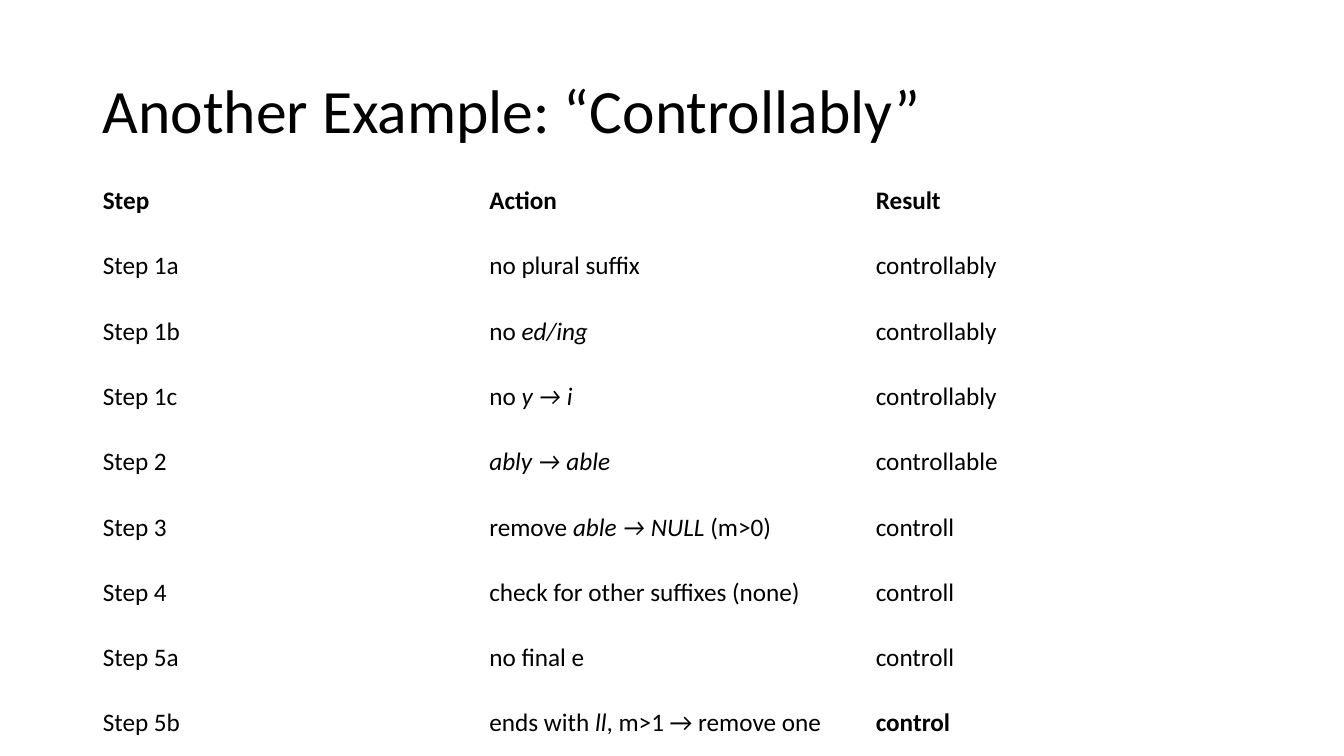
import pptx
import pptx.dml.color
import pptx.enum.text
import pptx.util

Inches = pptx.util.Inches
BLACK = pptx.dml.color.RGBColor(0, 0, 0)
FONT = "Calibri"
STEPS = [
    ("Step", "Action", "Result"),
    ("Step 1a", "no plural suffix", "controllably"),
    ("Step 1b", "no *ed/ing*", "controllably"),
    ("Step 1c", "no *y → i*", "controllably"),
    ("Step 2", "*ably → able*", "controllable"),
    ("Step 3", "remove *able → NULL* (m>0)", "controll"),
    ("Step 4", "check for other suffixes (none)", "controll"),
    ("Step 5a", "no final e", "controll"),
    ("Step 5b", "ends with *ll*, m>1 → remove one", "control"),
]


def write_text(para, text, size=18, bold=False):
    """Write text into a paragraph, with parts between asterisks in italics."""
    for index, part in enumerate(text.split("*")):
        if part:
            span = para.add_run()
            span.text = part
            span.font.name = FONT
            span.font.size = pptx.util.Pt(size)
            span.font.color.rgb = BLACK
            span.font.bold = bold
            span.font.italic = index % 2 == 1


def place_title(page, text, left, top, width, height):
    """Move the title placeholder to its box and fill it."""
    title = page.shapes.title
    title.left, title.top = Inches(left), Inches(top)
    title.width, title.height = Inches(width), Inches(height)
    frame = title.text_frame
    frame.word_wrap = True
    frame.vertical_anchor = pptx.enum.text.MSO_ANCHOR.MIDDLE
    para = frame.paragraphs[0]
    para.alignment = pptx.enum.text.PP_ALIGN.LEFT
    para.line_spacing = 0.9
    write_text(para, text, size=44)


def place_steps(page, rows, left, top, width, height):
    """Draw the table of stemming steps with equal rows and columns."""
    frame = page.shapes.add_table(len(rows), len(rows[0]), Inches(left),
                                  Inches(top), Inches(width), Inches(height))
    table = frame.table
    table.horz_banding = False
    table.first_row = False
    for row_index, row in enumerate(rows):
        for column_index, text in enumerate(row):
            cell = table.cell(row_index, column_index)
            cell.fill.background()
            cell.vertical_anchor = pptx.enum.text.MSO_ANCHOR.MIDDLE
            is_bold = row_index == 0 or text == "control"
            write_text(cell.text_frame.paragraphs[0], text, bold=is_bold)


def main():
    """Build the slide and save the deck."""
    deck = pptx.Presentation()
    deck.slide_width, deck.slide_height = Inches(13.33), Inches(7.5)
    page = deck.slides.add_slide(deck.slide_layouts.get_by_name("Title Only"))
    place_title(page, "Another Example: “Controllably”", 0.92, 0.4, 11.5, 1.45)
    place_steps(page, STEPS, 0.92, 1.67, 11.5, 5.83)
    deck.save("out.pptx")


if __name__ == "__main__":
    main()
